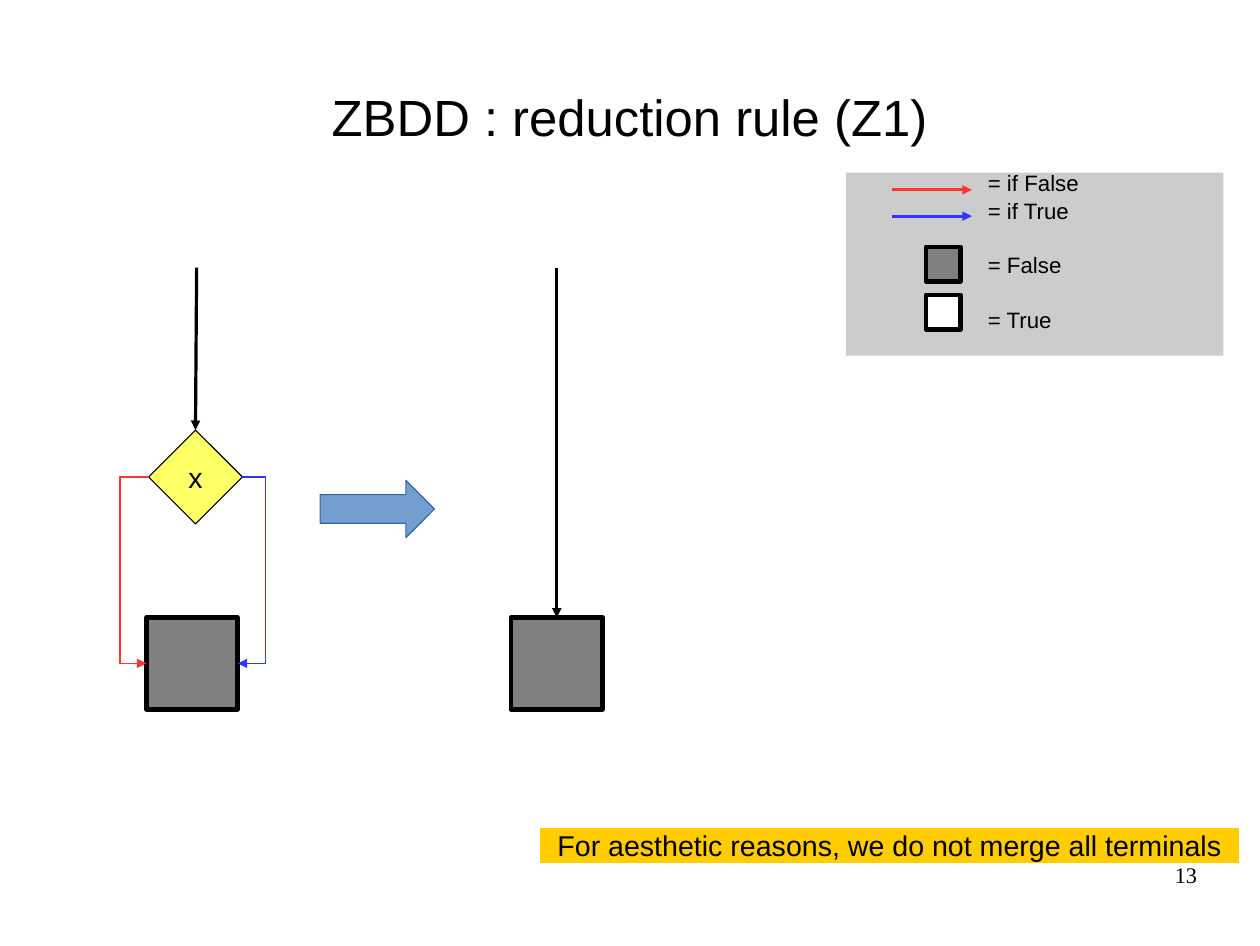
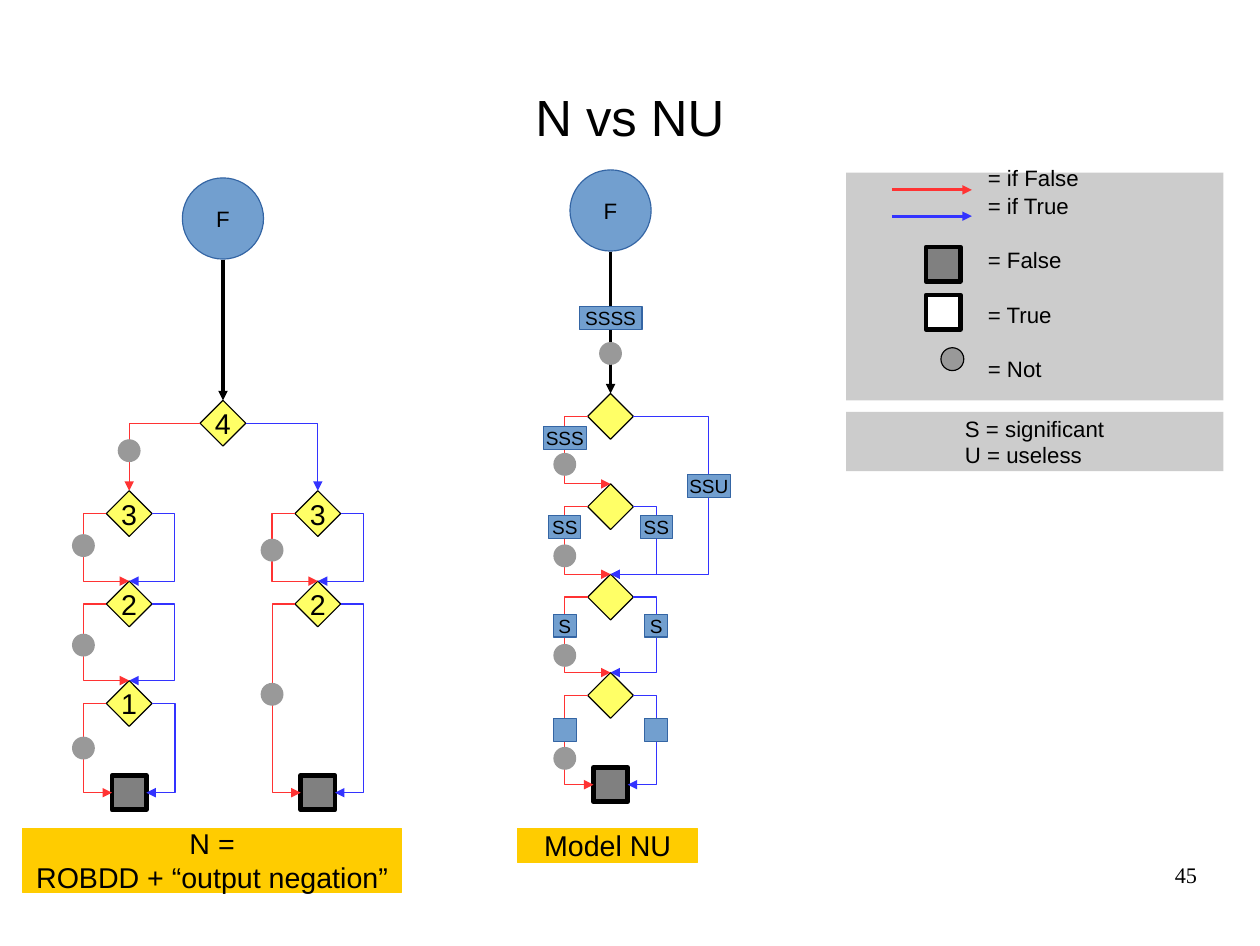
from dataclasses import dataclass

from lxml.etree import SubElement
from pptx import Presentation
from pptx.dml.color import RGBColor
from pptx.enum.shapes import MSO_CONNECTOR, MSO_SHAPE
from pptx.enum.text import MSO_ANCHOR, PP_ALIGN
from pptx.oxml.ns import qn
from pptx.util import Inches, Pt


@dataclass(frozen=True)
class Theme:
    font: str = "Arial"
    number_font: str = "Times New Roman"
    black: str = "000000"
    white: str = "FFFFFF"
    if_false: str = "FF3333"
    if_true: str = "3333FF"
    node: str = "FFFF66"
    terminal: str = "808080"
    negation: str = "999999"
    panel: str = "CCCCCC"
    banner: str = "FFCC00"
    accent: str = "729FCF"
    accent_edge: str = "3465A4"
    title_size: int = 32
    body_size: int = 18
    legend_size: int = 14
    tag_size: int = 12
    hairline: int = 0
    thick: int = 3


class Deck:
    def __init__(self, theme):
        self.theme = theme
        self.presentation = Presentation()
        self.presentation.slide_width = Inches(11.02)
        self.presentation.slide_height = Inches(8.27)
        self.slide = None

    def add_slide(self, title, number):
        self.slide = self.presentation.slides.add_slide(self.presentation.slide_layouts[5])
        heading = self.slide.shapes.title
        heading.left, heading.top = Inches(0.55), Inches(0.33)
        heading.width, heading.height = Inches(9.92), Inches(1.38)
        self.set_text(heading, title, self.theme.title_size, insets=(0, 0, 0, 0), wrap=True)
        page = self.slide.shapes.add_textbox(
            Inches(7.9), Inches(7.53), Inches(2.57), Inches(0.57))
        self.set_text(page, number, self.theme.legend_size, align=PP_ALIGN.RIGHT,
                      anchor=MSO_ANCHOR.TOP, insets=(0, 0, 0, 0), wrap=True,
                      font=self.theme.number_font)

    def set_text(self, shape, text, size, align=PP_ALIGN.CENTER, anchor=MSO_ANCHOR.MIDDLE,
                 insets=(0.1, 0.05, 0.1, 0.05), wrap=False, font=None):
        frame = shape.text_frame
        frame.text = text
        frame.word_wrap = wrap
        frame.vertical_anchor = anchor
        (frame.margin_left, frame.margin_top,
         frame.margin_right, frame.margin_bottom) = map(Inches, insets)
        for paragraph in frame.paragraphs:
            paragraph.alignment = align
            for run in paragraph.runs:
                run.font.name = font or self.theme.font
                run.font.size = Pt(size)
                run.font.color.rgb = RGBColor.from_string(self.theme.black)

    def box(self, kind, left, top, width, height, fill, edge=None, weight=0,
            text=None, size=None):
        shape = self.slide.shapes.add_shape(
            kind, Inches(left), Inches(top), Inches(width), Inches(height))
        shape.shadow.inherit = False
        shape.fill.solid()
        shape.fill.fore_color.rgb = RGBColor.from_string(fill)
        if edge:
            self.stroke(shape, edge, weight)
        else:
            shape.line.fill.background()
        if text:
            self.set_text(shape, text, size)
        return shape

    def stroke(self, shape, colour, weight, arrow=False):
        shape.line.color.rgb = RGBColor.from_string(colour)
        shape.line.width = Pt(weight)
        if arrow:
            outline = shape._element.spPr.find(qn("a:ln"))
            SubElement(outline, qn("a:tailEnd"), type="triangle")

    def node(self, x, y, text=None, side=0.4):
        return self.box(MSO_SHAPE.DIAMOND, x - side / 2, y - side / 2, side, side,
                        self.theme.node, self.theme.black, self.theme.hairline,
                        text, self.theme.body_size)

    def terminal(self, x, y, side=0.3, value=False):
        fill = self.theme.white if value else self.theme.terminal
        return self.box(MSO_SHAPE.RECTANGLE, x - side / 2, y - side / 2, side, side,
                        fill, self.theme.black, self.theme.thick)

    def negation(self, x, y, edge=None):
        self.box(MSO_SHAPE.OVAL, x - 0.1, y - 0.1, 0.2, 0.2, self.theme.negation, edge)

    def function(self, x, y):
        self.box(MSO_SHAPE.OVAL, x - 0.355, y - 0.355, 0.71, 0.71, self.theme.accent,
                 self.theme.accent_edge, self.theme.hairline, "F", self.theme.legend_size)

    def tag(self, x, y, text=""):
        width = {0: 0.2, 1: 0.2, 2: 0.28, 3: 0.38, 4: 0.55}[len(text)]
        self.box(MSO_SHAPE.RECTANGLE, x - width / 2, y - 0.1, width, 0.2,
                 self.theme.accent, self.theme.accent_edge, self.theme.hairline,
                 text, self.theme.tag_size)

    def banner(self, left, width, height, text):
        self.box(MSO_SHAPE.RECTANGLE, left, 7.24, width, height, self.theme.banner,
                 self.theme.banner, self.theme.hairline, text, self.theme.body_size)

    def arrow(self, start, end, colour, target=None):
        line = self.slide.shapes.add_connector(
            MSO_CONNECTOR.STRAIGHT, *map(Inches, start), *map(Inches, end))
        if target is not None:
            line.end_connect(target, 0)
        self.stroke(line, colour, self.theme.hairline, arrow=True)
        SubElement(line._element.spPr, qn("a:effectLst"))

    def branch(self, colour, *points):
        first, *rest = [tuple(map(Inches, point)) for point in points]
        builder = self.slide.shapes.build_freeform(*first)
        builder.add_line_segments(rest, close=False)
        route = builder.convert_to_shape()
        route.shadow.inherit = False
        route.fill.background()
        self.stroke(route, colour, self.theme.hairline, arrow=True)

    def detour(self, colour, start, via_x, end):
        self.branch(colour, start, (via_x, start[1]), (via_x, end[1]), end)

    def fork(self, x, y, end_y, negation_y, end_gap=0):
        for side, colour in ((-1, self.theme.if_false), (1, self.theme.if_true)):
            self.detour(colour, (x + side * 0.2, y), x + side * 0.4,
                        (x + side * end_gap, end_y))
        self.negation(x - 0.4, negation_y)

    def panel(self, top, height, lines, indent, bottom=0.05):
        shape = self.box(MSO_SHAPE.RECTANGLE, 7.4, top, 3.3, height, self.theme.panel)
        self.set_text(shape, "\n".join(lines), self.theme.legend_size, align=PP_ALIGN.LEFT,
                      insets=(indent, 0, 0.1, bottom), wrap=True)
        return shape.text_frame.paragraphs

    def legend(self, with_negation=False):
        lines = ["= if False", "= if True", "= False", "= True"]
        if with_negation:
            lines.append("= Not")
        entries = self.panel(1.51, 1.99 if with_negation else 1.6, lines, 1.24, 0.23)
        entries[1].space_before = Pt(0.7)
        for entry in entries[2:]:
            entry.space_before = Pt(17.5)
        self.arrow((7.8, 1.66), (8.5, 1.66), self.theme.if_false)
        self.arrow((7.8, 1.89), (8.5, 1.89), self.theme.if_true)
        self.terminal(8.25, 2.31)
        self.terminal(8.25, 2.73, value=True)
        if with_negation:
            self.negation(8.33, 3.14, self.theme.black)


def reduction_rule(deck):
    theme = deck.theme
    deck.add_slide("ZBDD : reduction rule (Z1)", "13")
    deck.legend()
    deck.banner(4.73, 6.1, 0.3, "For aesthetic reasons, we do not merge all terminals")
    variable = deck.node(1.71, 4.17, "x", 0.82)
    deck.terminal(1.68, 5.8, 0.8)
    reduced = deck.terminal(4.87, 5.8, 0.8)
    deck.arrow((1.72, 2.34), (1.71, 3.76), theme.black, variable)
    deck.arrow((4.87, 2.34), (4.87, 5.4), theme.black, reduced)
    deck.detour(theme.if_false, (1.3, 4.17), 1.05, (1.28, 5.8))
    deck.detour(theme.if_true, (2.12, 4.17), 2.32, (2.08, 5.8))
    deck.box(MSO_SHAPE.RIGHT_ARROW, 2.8, 4.2, 1, 0.5, theme.accent,
             theme.accent_edge, theme.hairline)


def negation_diagram(deck):
    theme = deck.theme
    root_x, left_x, right_x, bottom_y = 1.95, 1.13, 2.78, 6.93
    deck.function(root_x, 1.91)
    root = deck.node(root_x, 3.7, "4")
    deck.arrow((root_x, 2.27), (root_x, 3.5), theme.black, root)
    for x, side, colour in ((left_x, -1, theme.if_false), (right_x, 1, theme.if_true)):
        deck.branch(colour, (root_x + side * 0.2, 3.7), (x, 3.7), (x, 4.29))
        deck.terminal(x, bottom_y)
    deck.negation(left_x, 3.94)
    for x, y, label in ((left_x, 4.49, "3"), (left_x, 5.28, "2"), (left_x, 6.15, "1"),
                        (right_x, 4.49, "3"), (right_x, 5.28, "2")):
        deck.node(x, y, label)
    deck.fork(left_x, 4.49, 5.08, 4.77)
    deck.fork(left_x, 5.28, 5.95, 5.64)
    deck.fork(left_x, 6.15, bottom_y, 6.54, 0.15)
    deck.fork(right_x, 4.49, 5.08, 4.81)
    deck.fork(right_x, 5.28, bottom_y, 6.07, 0.15)
    deck.banner(0.2, 3.31, 0.56, "N =\nROBDD + “output negation”")


def useless_diagram(deck):
    theme = deck.theme
    x, far_x, bottom_y = 5.34, 6.2, 6.86
    deck.function(x, 1.84)
    root, *_ = [deck.node(x, y) for y in (3.64, 4.43, 5.22, 6.08)]
    deck.terminal(x, bottom_y)
    deck.arrow((x, 2.2), (x, 3.44), theme.black, root)
    deck.tag(x, 2.78, "SSSS")
    deck.negation(x, 3.09)
    deck.detour(theme.if_false, (x - 0.2, 3.64), x - 0.4, (x, 4.23))
    deck.detour(theme.if_true, (x + 0.2, 3.64), far_x, (x, 5.02))
    deck.tag(x - 0.4, 3.83, "SSS")
    deck.negation(x - 0.4, 4.06)
    deck.tag(far_x, 4.25, "SSU")
    deck.fork(x, 4.43, 5.02, 4.86)
    deck.fork(x, 5.22, 5.88, 5.73)
    deck.fork(x, 6.08, bottom_y, 6.63, 0.15)
    for y, label in ((4.61, "SS"), (5.47, "S"), (6.38, "")):
        for side in (-1, 1):
            deck.tag(x + side * 0.4, y, label)
    deck.banner(4.53, 1.57, 0.3, "Model NU")


def model_comparison(deck):
    deck.add_slide("N vs NU", "45")
    deck.legend(with_negation=True)
    deck.panel(3.6, 0.52, ["S = significant", "U = useless"], 1.04, 0)
    negation_diagram(deck)
    useless_diagram(deck)


def main():
    deck = Deck(Theme())
    reduction_rule(deck)
    model_comparison(deck)
    deck.presentation.save("out.pptx")


if __name__ == "__main__":
    main()
